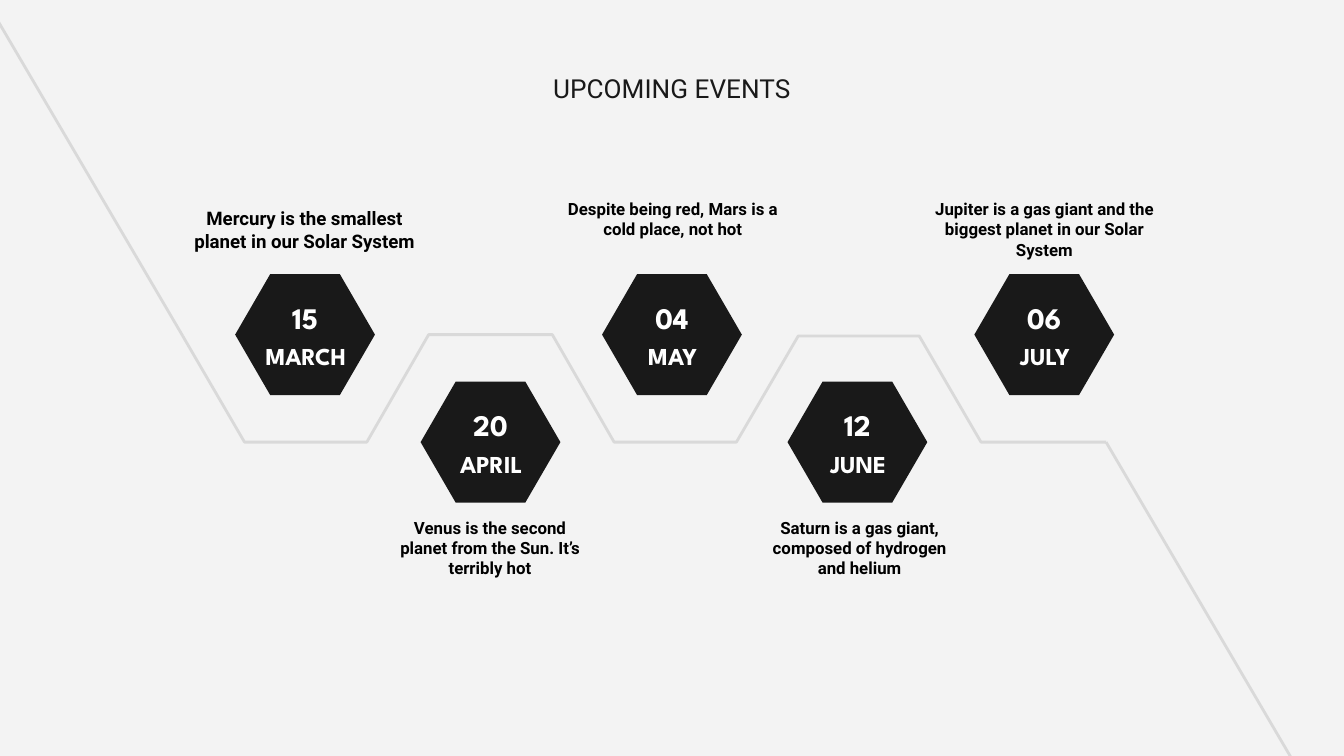
from pptx import Presentation
from pptx import util as u
from pptx.dml.color import RGBColor
from pptx.enum import shapes, text
from pptx.oxml.ns import qn
from lxml import etree

BACKGROUND = RGBColor(0xF3, 0xF3, 0xF3)
DARK = RGBColor(0x19, 0x19, 0x19)
GREY = RGBColor(0xD9, 0xD9, 0xD9)
BLACK = RGBColor(0x00, 0x00, 0x00)
WHITE = RGBColor(0xFF, 0xFF, 0xFF)

HEX_W, HEX_H = 1.04, 0.9
UPPER, LOWER = 2.04, 2.84

# day, month, hexagon left and top, caption, caption box, caption size
EVENTS = [
    ("15", "MARCH", 1.75, UPPER, "Mercury is the smallest planet in our Solar System",
     (1.26, 1.44, 2.01, 0.53), 10),
    ("20", "APRIL", 3.13, LOWER, "Venus is the second planet from the Sun. It’s terribly hot",
     (2.82, 3.75, 1.65, 0.66), 9),
    ("04", "MAY", 4.48, UPPER, "Despite being red, Mars is a cold place, not hot",
     (4.11, 1.38, 1.79, 0.51), 9),
    ("12", "JUNE", 5.86, LOWER, "Saturn is a gas giant, composed of hydrogen and helium",
     (5.54, 3.75, 1.71, 0.66), 9),
    ("06", "JULY", 7.25, UPPER, "Jupiter is a gas giant and the biggest planet in our Solar System",
     (6.73, 1.38, 2.08, 0.66), 9),
]

ROUTE = [(1.36, 2.5), (1.82, 3.29), (2.73, 3.29), (3.19, 2.49), (4.11, 2.49),
         (4.57, 3.29), (5.48, 3.29), (5.94, 2.5), (6.84, 2.5), (7.3, 3.29), (8.23, 3.29)]


def add_text(s, content, box, size, color, font="Roboto", bold=True):
    sp = s.shapes.add_textbox(*map(u.Inches, box))
    tf = sp.text_frame
    tf.word_wrap = True
    tf.margin_left = tf.margin_right = tf.margin_top = tf.margin_bottom = u.Inches(0.1)
    tf.text = content
    p = tf.paragraphs[0]
    p.alignment = text.PP_ALIGN.CENTER
    f = p.runs[0].font
    f.name, f.size, f.bold = font, u.Pt(size), bold
    f.color.rgb = color


def style_line(sp):
    sp.line.color.rgb = GREY
    sp.line.width = u.Pt(1.5)


def add_line(s, start, end):
    sp = s.shapes.add_connector(shapes.MSO_CONNECTOR.STRAIGHT, *map(u.Inches, start + end))
    style_line(sp)
    etree.SubElement(sp._element.spPr, qn("a:effectLst"))


def add_route(s):
    points = [(u.Inches(x), u.Inches(y)) for x, y in ROUTE]
    builder = s.shapes.build_freeform(*points[0])
    builder.add_line_segments(points[1:], close=False)
    sp = builder.convert_to_shape()
    sp.shadow.inherit = False
    sp.fill.background()
    style_line(sp)


def add_hexagon(s, left, top):
    sp = s.shapes.add_shape(shapes.MSO_SHAPE.HEXAGON, *map(u.Inches, (left, top, HEX_W, HEX_H)))
    sp.adjustments[0] = 0.29
    sp.shadow.inherit = False
    sp.fill.solid()
    sp.fill.fore_color.rgb = DARK
    sp.line.fill.background()


def add_event(s, day, month, left, top, caption, caption_box, caption_size):
    add_hexagon(s, left, top)
    add_text(s, day, (left, top + 0.09, HEX_W, 0.46), 16, WHITE, "League Spartan")
    add_text(s, month, (left - 0.08, top + 0.4, 1.21, 0.42), 13, WHITE, "League Spartan")
    add_text(s, caption, caption_box, caption_size, BLACK)


def main():
    prs = Presentation()
    prs.slide_width = u.Inches(10)
    prs.slide_height = u.Inches(10) * 9 // 16
    s = prs.slides.add_slide(prs.slide_layouts[6])
    s.background.fill.solid()
    s.background.fill.fore_color.rgb = BACKGROUND
    add_route(s)
    add_line(s, ROUTE[0], (-0.06, 0.08))
    add_line(s, (9.62, 5.66), ROUTE[-1])
    add_text(s, "UPCOMING EVENTS", (3.37, 0.44, 3.26, 0.75), 14, DARK, bold=False)
    for event in EVENTS:
        add_event(s, *event)
    prs.save("out.pptx")


if __name__ == "__main__":
    main()
